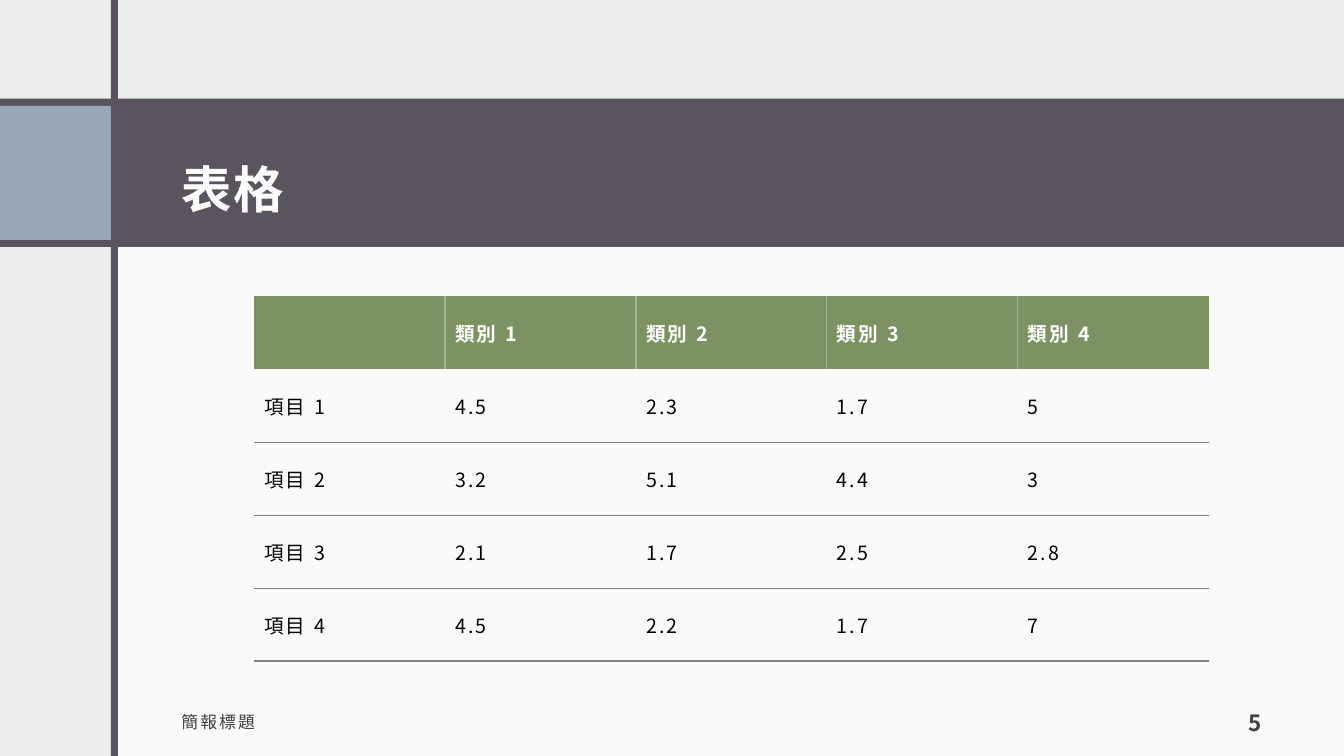
from dataclasses import dataclass

from lxml.etree import SubElement
from pptx import Presentation
from pptx.dml.color import RGBColor
from pptx.enum.shapes import MSO_SHAPE
from pptx.enum.text import MSO_ANCHOR, MSO_AUTO_SIZE, PP_ALIGN
from pptx.oxml.ns import qn
from pptx.util import Inches, Pt


@dataclass(frozen=True)
class Theme:
    font: str = "Noto Sans CJK JP"
    back: str = "EBEDEB"
    white: str = "FFFFFF"
    plum: str = "595460"
    blue: str = "97A7B8"
    green: str = "7D9263"
    pale: str = "A5B592"
    gray: str = "808080"
    dark: str = "404040"
    black: str = "000000"
    title: int = 36
    page: int = 16
    cell: int = 14
    foot: int = 12


THEME = Theme()
NO_STYLE = "{2D5ABB26-0587-4C30-8999-92F81FD0307C}"
HEADS = ["", "類別 1", "類別 2", "類別 3", "類別 4"]
ITEMS = [
    ["項目 1", "4.5", "2.3", "1.7", "5"],
    ["項目 2", "3.2", "5.1", "4.4", "3"],
    ["項目 3", "2.1", "1.7", "2.5", "2.8"],
    ["項目 4", "4.5", "2.2", "1.7", "7"],
]


def rgb(color):
    return RGBColor.from_string(color)


def write(frame, text, size, color, bold=False, align=PP_ALIGN.LEFT, lines=None):
    para = frame.paragraphs[0]
    para.alignment = align
    para.line_spacing = lines
    run = para.add_run()
    run.text = text
    font = run.font
    font.name = THEME.font
    font.size = Pt(size)
    font.bold = bold
    font.color.rgb = rgb(color)
    props = run._r.get_or_add_rPr()
    props.set("spc", "150")
    SubElement(props, qn("a:ea")).set("typeface", THEME.font)


def add_block(slide, left, top, width, height, color, alpha=None):
    block = slide.shapes.add_shape(
        MSO_SHAPE.RECTANGLE, Inches(left), Inches(top), Inches(width), Inches(height))
    block.shadow.inherit = False
    block.line.fill.background()
    block.fill.solid()
    block.fill.fore_color.rgb = rgb(color)
    if alpha:
        tint = block._element.spPr.find(".//" + qn("a:srgbClr"))
        SubElement(tint, qn("a:alpha")).set("val", str(alpha * 1000))


def set_frame(frame, anchor):
    frame.word_wrap = True
    frame.auto_size = MSO_AUTO_SIZE.NONE
    frame.vertical_anchor = anchor
    frame.margin_left = frame.margin_right = frame.margin_top = Inches(0.12)
    frame.margin_bottom = Inches(0.1)


def add_title(slide, text):
    title = slide.shapes.title
    title.left, title.top = Inches(1.68), Inches(1.14)
    title.width, title.height = Inches(10.95), Inches(1.13)
    set_frame(title.text_frame, MSO_ANCHOR.MIDDLE)
    write(title.text_frame, text, THEME.title, THEME.white, bold=True, lines=1.5)
    # Bring the title in front of the band
    slide.shapes._spTree.append(title._element)


def add_note(slide, text, left, width, anchor, size, **form):
    """Add a text box on the footer line."""
    box = slide.shapes.add_textbox(Inches(left), Inches(6.9), Inches(width), Inches(0.5))
    set_frame(box.text_frame, anchor)
    write(box.text_frame, text, size, THEME.dark, **form)


def add_edge(cell, side, color):
    """Draw one cell border; side is L, R, T or B, added in that order."""
    line = SubElement(cell._tc.get_or_add_tcPr(), qn("a:ln" + side), w=str(Pt(1)))
    fill = SubElement(line, qn("a:solidFill"))
    SubElement(fill, qn("a:srgbClr")).set("val", color)


def add_grid(slide, rows):
    count, wide = len(rows), len(rows[0])
    frame = slide.shapes.add_table(
        count, wide, Inches(2.52), Inches(2.94), Inches(9.47), Inches(3.62))
    table = frame.table
    table.horz_banding = False
    table._tbl.tblPr.find(qn("a:tableStyleId")).text = NO_STYLE
    for r, row in enumerate(rows):
        for c, text in enumerate(row):
            cell = table.cell(r, c)
            cell.vertical_anchor = MSO_ANCHOR.MIDDLE
            head = r == 0
            if head:
                if c > 0:
                    add_edge(cell, "L", THEME.pale)
                if c < wide - 1:
                    add_edge(cell, "R", THEME.pale)
                cell.fill.solid()
                cell.fill.fore_color.rgb = rgb(THEME.green)
            else:
                add_edge(cell, "B", THEME.gray)
                cell.fill.background()
            color = THEME.white if head else THEME.black
            write(cell.text_frame, text, THEME.cell, color, bold=head)


def main():
    deck = Presentation()
    deck.slide_width, deck.slide_height = Inches(13.33), Inches(7.5)
    slide = deck.slides.add_slide(deck.slide_layouts[5])
    slide.background.fill.solid()
    slide.background.fill.fore_color.rgb = rgb(THEME.back)

    add_block(slide, 1.14, 2.33, 12.19, 5.17, THEME.white, alpha=75)
    add_block(slide, 0, 0.98, 13.33, 1.47, THEME.plum)
    add_block(slide, 0, 1.05, 1.1, 1.33, THEME.blue)
    add_block(slide, 1.1, 0, 0.07, 7.5, THEME.plum)

    add_title(slide, "表格")
    add_note(slide, "簡報標題", 1.68, 6.27, MSO_ANCHOR.MIDDLE, THEME.foot)
    add_note(slide, "5", 11.56, 1.07, MSO_ANCHOR.BOTTOM, THEME.page,
             bold=True, align=PP_ALIGN.RIGHT)
    add_grid(slide, [HEADS] + ITEMS)
    deck.save("out.pptx")


if __name__ == "__main__":
    main()
